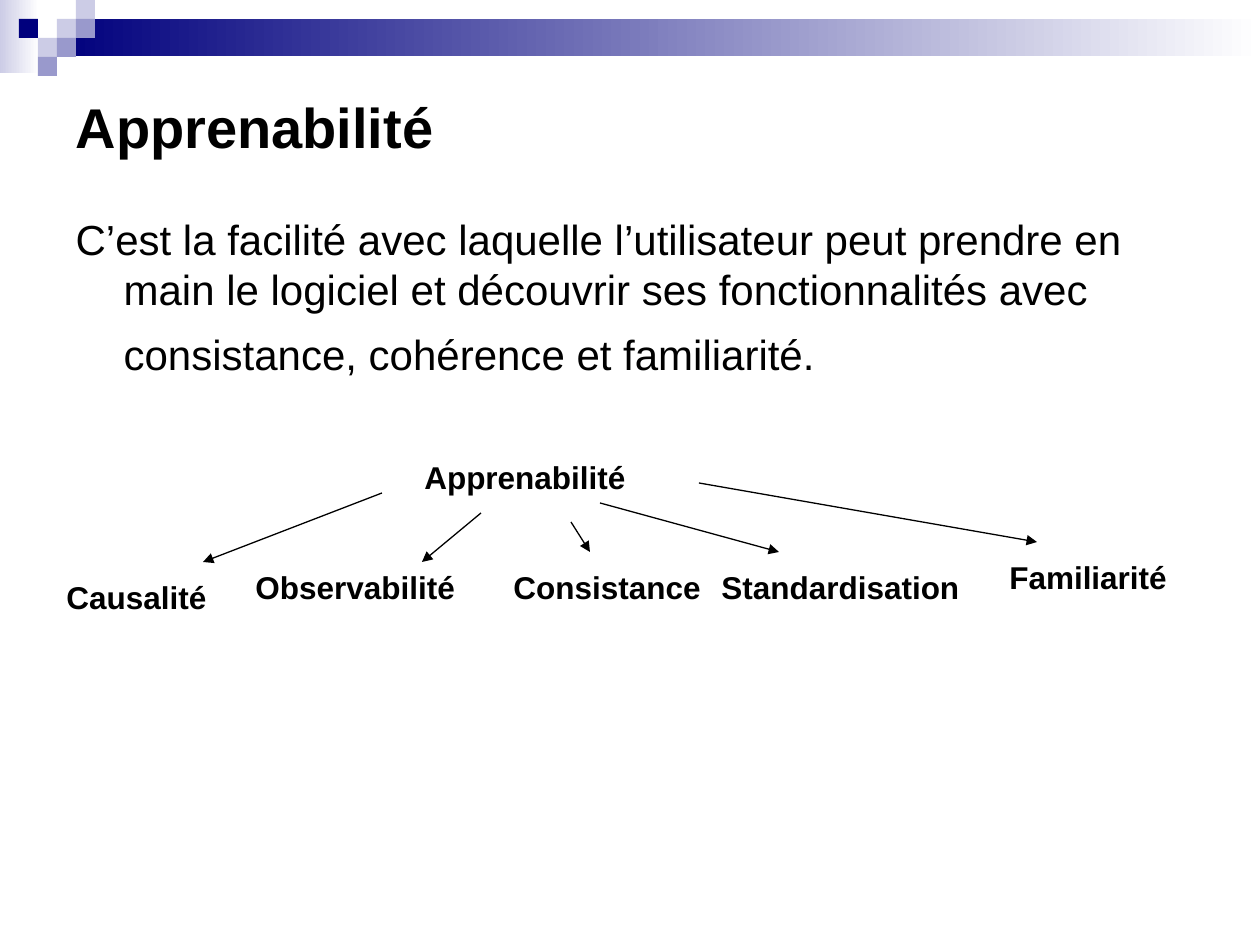
import dataclasses

import pptx
import pptx.dml.color
import pptx.enum.shapes
import pptx.enum.text
import pptx.oxml
import pptx.oxml.ns
import pptx.util

EMU_PER_PX = 914400 / 126


def px(length):
    return pptx.util.Emu(round(length * EMU_PER_PX))


def rgb(value):
    return pptx.dml.color.RGBColor.from_string(value)


@dataclasses.dataclass(frozen=True)
class Theme:
    font: str = "Arial"
    ink: str = "000000"
    navy: str = "00007D"
    violet: str = "9999CC"
    lavender: str = "CCCCE6"
    white: str = "FFFFFF"
    title_size: int = 32
    body_size: int = 24
    label_size: int = 18
    arrow_width: float = 0.75


class SlideBuilder:
    def __init__(self, slide, theme):
        self.slide = slide
        self.theme = theme

    def style(self, run, size, bold=False):
        run.font.name = self.theme.font
        run.font.size = pptx.util.Pt(size)
        run.font.bold = bold
        run.font.color.rgb = rgb(self.theme.ink)

    def place(self, holder, left, top, width, height):
        holder.left, holder.top = px(left), px(top)
        holder.width, holder.height = px(width), px(height)
        frame = holder.text_frame
        frame.word_wrap = True
        frame.auto_size = pptx.enum.text.MSO_AUTO_SIZE.NONE
        frame.vertical_anchor = pptx.enum.text.MSO_ANCHOR.TOP
        return frame

    def title(self, words, *box):
        frame = self.place(self.slide.shapes.title, *box)
        frame.text = words
        heading = frame.paragraphs[0]
        heading.alignment = pptx.enum.text.PP_ALIGN.LEFT
        self.style(heading.runs[0], self.theme.title_size, bold=True)

    def body(self, words, hanging, *box):
        frame = self.place(self.slide.placeholders[1], *box)
        frame.text = words
        definition = frame.paragraphs[0]
        definition.space_before = pptx.util.Pt(0)
        properties = definition._p.get_or_add_pPr()
        properties.set("marL", str(px(hanging)))
        properties.set("indent", str(-px(hanging)))
        properties.append(pptx.oxml.parse_xml(
            f"<a:buNone {pptx.oxml.ns.nsdecls('a')}/>"))
        self.style(definition.runs[0], self.theme.body_size)
        closing = definition.add_run()
        closing.text = " "
        self.style(closing, self.theme.title_size)

    def block(self, left, top, width, height, colour, fade_to=None):
        rectangle = self.slide.shapes.add_shape(
            pptx.enum.shapes.MSO_SHAPE.RECTANGLE,
            px(left), px(top), px(width), px(height))
        rectangle.shadow.inherit = False
        rectangle.line.fill.background()
        if fade_to is None:
            rectangle.fill.solid()
            rectangle.fill.fore_color.rgb = rgb(colour)
            return
        rectangle.fill.gradient()
        rectangle.fill.gradient_angle = 0
        for stop, shade in zip(rectangle.fill.gradient_stops, (colour, fade_to)):
            stop.color.rgb = rgb(shade)

    def label(self, words, left, top, width, wrap=True):
        box = self.slide.shapes.add_textbox(px(left), px(top), px(width), px(50))
        frame = box.text_frame
        frame.text = words
        frame.word_wrap = wrap
        frame.auto_size = pptx.enum.text.MSO_AUTO_SIZE.SHAPE_TO_FIT_TEXT
        self.style(frame.paragraphs[0].runs[0], self.theme.label_size, bold=True)

    def arrow(self, start, end):
        connector = self.slide.shapes.add_connector(
            pptx.enum.shapes.MSO_CONNECTOR.STRAIGHT,
            *(px(value) for value in (*start, *end)))
        connector.line.color.rgb = rgb(self.theme.ink)
        connector.line.width = pptx.util.Pt(self.theme.arrow_width)
        namespace = pptx.oxml.ns.nsdecls("a")
        connector.line._get_or_add_ln().append(
            pptx.oxml.parse_xml(f'<a:tailEnd {namespace} type="triangle"/>'))
        connector._element.spPr.append(
            pptx.oxml.parse_xml(f"<a:effectLst {namespace}/>"))


def main():
    theme = Theme()
    deck = pptx.Presentation()
    deck.slide_width, deck.slide_height = px(1260), px(945)
    builder = SlideBuilder(deck.slides.add_slide(deck.slide_layouts[1]), theme)

    builder.block(0, 0, 39, 73, theme.lavender, fade_to=theme.white)
    builder.block(57, 19, 1203, 37, theme.navy, fade_to=theme.white)
    tile = 19
    mosaic = (
        (3, 1, theme.lavender), (4, 0, theme.lavender), (4, 1, theme.violet),
        (2, 2, theme.lavender), (1, 1, theme.navy), (3, 2, theme.violet),
        (2, 3, theme.violet),
    )
    for column, row, colour in mosaic:
        builder.block(column * tile, row * tile, tile, tile, colour)

    builder.title("Apprenabilité", 63, 86, 1134, 77)
    builder.body(
        "C’est la facilité avec laquelle l’utilisateur peut prendre en main le "
        "logiciel et découvrir ses fonctionnalités avec consistance, cohérence "
        "et familiarité.",
        48, 63, 207, 1134, 602)

    builder.label("Apprenabilité", 412, 452, 318)
    criteria = (
        ("Causalité", (54, 572, 165, False), (382, 493), (203, 562)),
        ("Observabilité", (243, 562, 268), (481, 513), (422, 562)),
        ("Consistance", (501, 562, 268), (571, 522), (590, 552)),
        ("Standardisation", (709, 562, 268), (600, 503), (779, 552)),
        ("Familiarité", (997, 552, 192, False), (699, 483), (1037, 542)),
    )
    for criterion, box, start, end in criteria:
        builder.label(criterion, *box)
        builder.arrow(start, end)

    deck.save("out.pptx")


if __name__ == "__main__":
    main()
